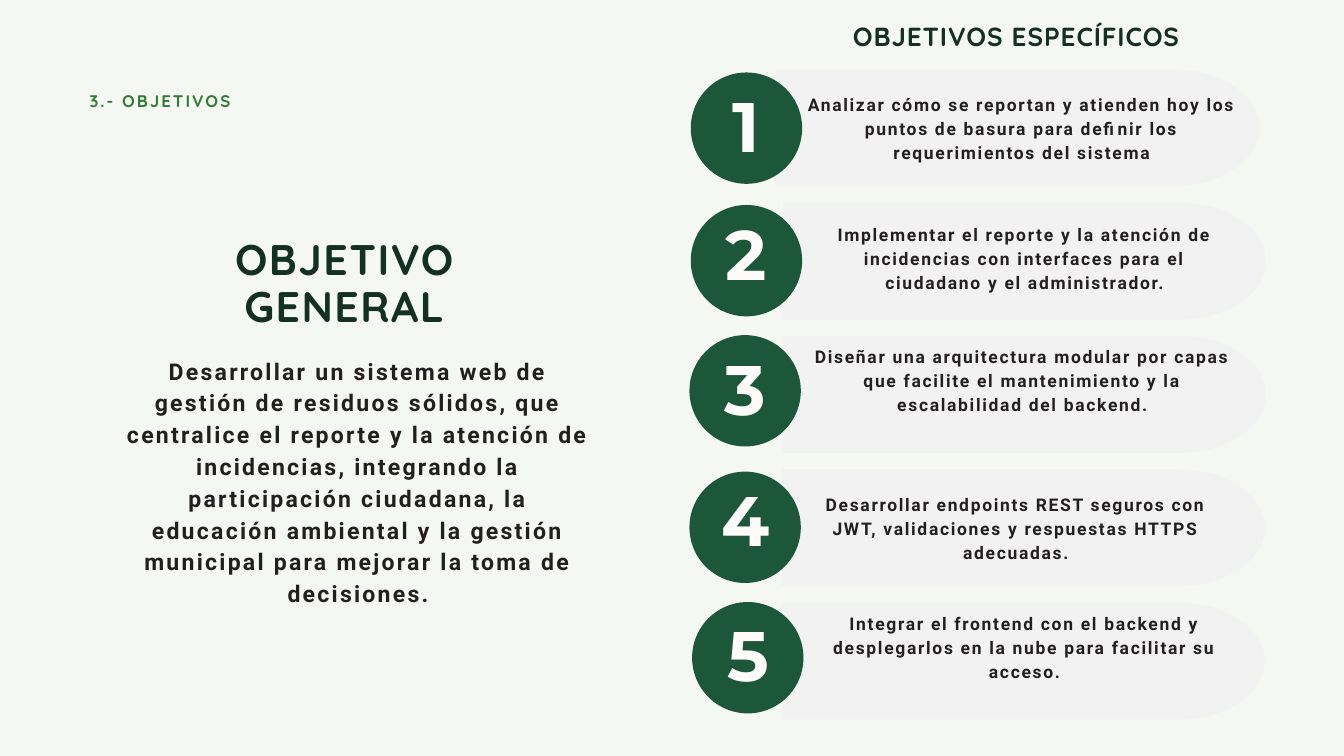
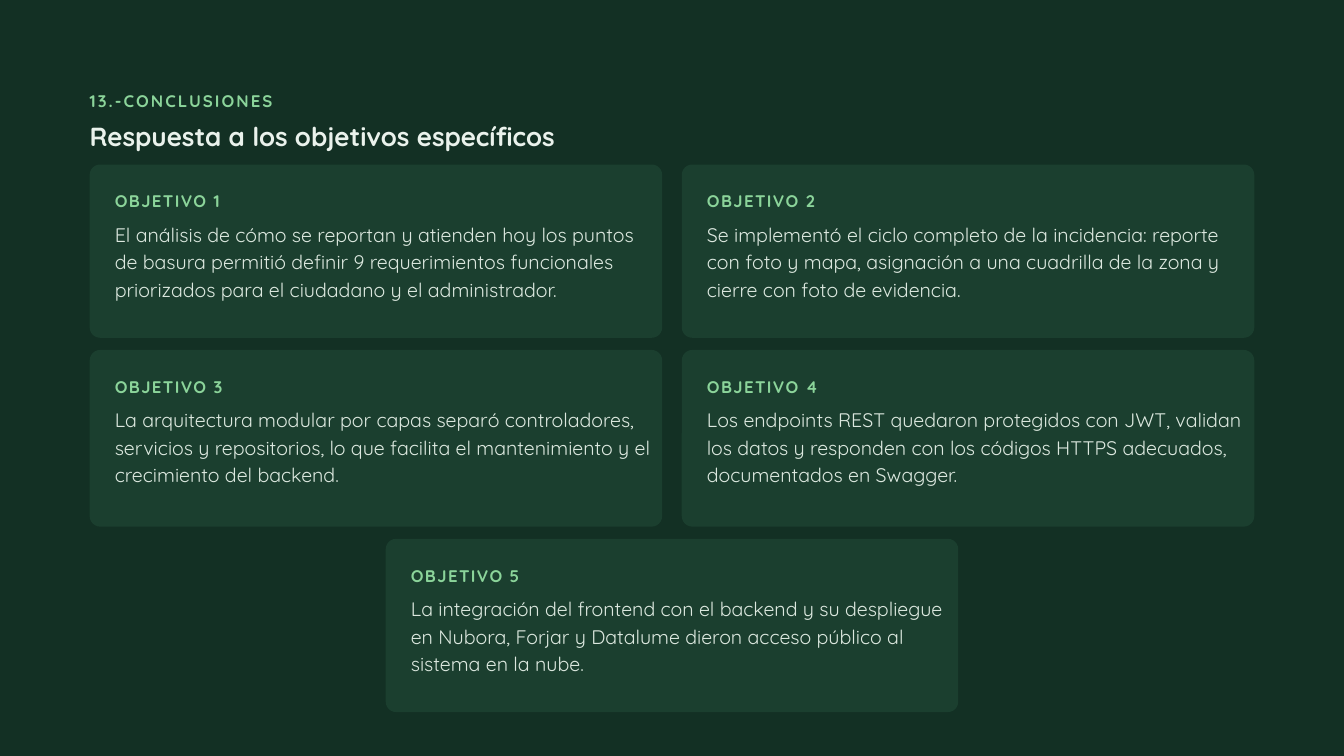
"""Build the objectives slide and the conclusions slide of a waste-management project."""

from dataclasses import dataclass, replace
from math import cos, pi, sin

from pptx import Presentation
from pptx.dml.color import RGBColor
from pptx.enum.shapes import MSO_SHAPE
from pptx.enum.text import MSO_ANCHOR, MSO_AUTO_SIZE, PP_ALIGN
from pptx.presentation import Presentation as Deck
from pptx.shapes.autoshape import Shape
from pptx.slide import Slide
from pptx.text.text import TextFrame
from pptx.util import Cm, Pt

SLIDE_WIDTH = 50.8
SLIDE_HEIGHT = 28.58
TITLE_ONLY = 5


@dataclass(frozen=True)
class TextStyle:
    font: str
    size: float
    line: float
    color: str
    bold: bool = True
    spacing: float = 0
    align: PP_ALIGN = PP_ALIGN.LEFT


@dataclass(frozen=True)
class Theme:
    light: str = "F5F7F2"
    dark: str = "133024"
    pill: str = "F2F2F2"
    badge: str = "1C5739"
    card: str = "1B3F2F"
    section: TextStyle = TextStyle("Quicksand", 18, 25.2, "2E7D32", spacing=2.2)
    section_on_dark: TextStyle = TextStyle("Quicksand", 18, 25.2, "8BD49A", spacing=2.2)
    general_title: TextStyle = TextStyle(
        "Quicksand", 45.8, 50.4, "133024", spacing=1.6, align=PP_ALIGN.CENTER)
    specific_title: TextStyle = TextStyle(
        "Quicksand", 28, 30.8, "133024", spacing=1, align=PP_ALIGN.CENTER)
    answers_title: TextStyle = TextStyle("Quicksand", 28, 30.8, "EAF2EC")
    general: TextStyle = TextStyle(
        "Roboto", 24.7, 34.1, "231F20", spacing=2.4, align=PP_ALIGN.CENTER)
    specific: TextStyle = TextStyle(
        "Roboto", 18.7, 25.8, "231F20", spacing=1.8, align=PP_ALIGN.CENTER)
    number: TextStyle = TextStyle(
        "Montserrat", 75, 74.2, "FFFBFB", spacing=2.6, align=PP_ALIGN.CENTER)
    answer: TextStyle = TextStyle("Quicksand", 21, 29.4, "DCE8DF", bold=False)


THEME = Theme()
CARD_HEADING = replace(THEME.section_on_dark, spacing=1.5)


@dataclass(frozen=True)
class Box:
    left: float
    top: float
    width: float
    height: float

    def lengths(self) -> tuple[Cm, Cm, Cm, Cm]:
        return Cm(self.left), Cm(self.top), Cm(self.width), Cm(self.height)


@dataclass(frozen=True)
class Objective:
    text: str
    pill_left: float
    badge_left: float
    badge_top: float
    number_top: float
    text_left: float
    text_top: float
    text_width: float = 16.03


OBJECTIVES = [
    Objective("Analizar cómo se reportan y atienden hoy los puntos de basura para "
              "definir los requerimientos del sistema",
              29.34, 26.11, 2.74, 3.66, 30.38, 3.45, 16.48),
    Objective("Implementar el reporte y la atención de incidencias con interfaces para "
              "el ciudadano y el administrador.",
              29.59, 26.11, 7.75, 8.53, 30.71, 8.36),
    Objective("Diseñar una arquitectura modular por capas que facilite el mantenimiento "
              "y la escalabilidad del backend.",
              29.59, 26.06, 12.67, 13.61, 30.63, 12.95),
    Objective("Desarrollar endpoints REST seguros con JWT, validaciones y respuestas "
              "HTTPS adecuadas.",
              29.54, 26.06, 17.83, 18.59, 30.38, 18.57),
    Objective("Integrar el frontend con el backend y desplegarlos en la nube para "
              "facilitar su acceso.",
              29.54, 26.16, 22.76, 23.67, 30.71, 23.04),
]

GENERAL_OBJECTIVE = (
    "Desarrollar un sistema web de gestión de residuos sólidos, que centralice el "
    "reporte y la atención de incidencias, integrando la participación ciudadana, la "
    "educación ambiental y la gestión municipal para mejorar la toma de decisiones."
)

ANSWER_ROWS = [
    (6.55, [
        "El análisis de cómo se reportan y atienden hoy los puntos de basura permitió "
        "definir 9 requerimientos funcionales priorizados para el ciudadano y el "
        "administrador.",
        "Se implementó el ciclo completo de la incidencia: reporte con foto y mapa, "
        "asignación a una cuadrilla de la zona y cierre con foto de evidencia.",
    ]),
    (6.68, [
        "La arquitectura modular por capas separó controladores, servicios y "
        "repositorios, lo que facilita el mantenimiento y el crecimiento del backend.",
        "Los endpoints REST quedaron protegidos con JWT, validan los datos y responden "
        "con los códigos HTTPS adecuados, documentados en Swagger.",
    ]),
    (6.55, [
        "La integración del frontend con el backend y su despliegue en Nubora, Forjar "
        "y Datalume dieron acceso público al sistema en la nube.",
    ]),
]


def write(frame: TextFrame, text: str, style: TextStyle) -> None:
    frame.margin_left = frame.margin_right = frame.margin_top = frame.margin_bottom = 0
    frame.word_wrap = True
    frame.auto_size = MSO_AUTO_SIZE.NONE
    frame.vertical_anchor = MSO_ANCHOR.TOP
    frame.text = text
    for paragraph in frame.paragraphs:
        paragraph.alignment = style.align
        paragraph.line_spacing = Pt(style.line)
        font = paragraph.font
        font.name = style.font
        font.size = Pt(style.size)
        font.bold = style.bold
        font.color.rgb = RGBColor.from_string(style.color)
        font._element.set("spc", str(round(style.spacing * 100)))


def add_text(slide: Slide, box: Box, text: str, style: TextStyle) -> None:
    write(slide.shapes.add_textbox(*box.lengths()).text_frame, text, style)


def paint(shape: Shape, color: str) -> None:
    shape.shadow.inherit = False
    shape.fill.solid()
    shape.fill.fore_color.rgb = RGBColor.from_string(color)
    shape.line.fill.background()


def add_slide(deck: Deck, background: str, section: str, section_style: TextStyle,
              title: str, title_box: Box, title_style: TextStyle) -> Slide:
    slide = deck.slides.add_slide(deck.slide_layouts[TITLE_ONLY])
    slide.background.fill.solid()
    slide.background.fill.fore_color.rgb = RGBColor.from_string(background)
    heading = slide.shapes.title
    heading.left, heading.top, heading.width, heading.height = title_box.lengths()
    write(heading.text_frame, title, title_style)
    add_text(slide, Box(3.39, 3.3, 12, 0.84), section, section_style)
    return slide


def add_pill(slide: Slide, box: Box) -> None:
    bend_width, bend_height = 3.25, box.height / 2
    bend_left = box.left + box.width - bend_width
    middle = box.top + bend_height
    steps = 32
    angles = [pi * step / steps - pi / 2 for step in range(steps + 1)]
    bend = [(Cm(bend_left + bend_width * cos(angle)), Cm(middle + bend_height * sin(angle)))
            for angle in angles]
    outline = slide.shapes.build_freeform(Cm(box.left), Cm(box.top))
    outline.add_line_segments([*bend, (Cm(box.left), Cm(box.top + box.height))])
    paint(outline.convert_to_shape(), THEME.pill)


def add_objective(slide: Slide, number: int, objective: Objective) -> None:
    pill_top = 2.62 + 5.04 * (number - 1)
    add_pill(slide, Box(objective.pill_left, pill_top, 18.26, 4.42))
    badge_box = Box(objective.badge_left, objective.badge_top, 4.21, 4.21)
    paint(slide.shapes.add_shape(MSO_SHAPE.OVAL, *badge_box.lengths()), THEME.badge)
    add_text(slide, Box(objective.badge_left + 0.74, objective.number_top, 2.74, 2.74),
             str(number), THEME.number)
    add_text(slide, Box(objective.text_left, objective.text_top, objective.text_width, 2.67),
             objective.text, THEME.specific)


def add_answer(slide: Slide, number: int, box: Box, answer: str) -> None:
    card = slide.shapes.add_shape(MSO_SHAPE.ROUNDED_RECTANGLE, *box.lengths())
    card.adjustments[0] = 0.06
    paint(card, THEME.card)
    text_left = box.left + 0.95
    add_text(slide, Box(text_left, box.top + 0.88, 20.32, 0.84),
             f"OBJETIVO {number}", CARD_HEADING)
    add_text(slide, Box(text_left, box.top + 2.06, 20.32, 3.11), answer, THEME.answer)


def build_objectives(deck: Deck) -> None:
    slide = add_slide(deck, THEME.light, "3.- OBJETIVOS", THEME.section,
                      "OBJETIVO\nGENERAL", Box(8.66, 8.97, 8.71, 3.63), THEME.general_title)
    add_text(slide, Box(31.78, 0.86, 13.26, 1.14), "OBJETIVOS ESPECÍFICOS",
             THEME.specific_title)
    add_text(slide, Box(4.57, 13.34, 17.93, 10.76), GENERAL_OBJECTIVE, THEME.general)
    for number, objective in enumerate(OBJECTIVES, start=1):
        add_objective(slide, number, objective)


def build_conclusions(deck: Deck) -> None:
    slide = add_slide(deck, THEME.dark, "13.-CONCLUSIONES", THEME.section_on_dark,
                      "Respuesta a los objetivos específicos",
                      Box(3.39, 4.65, 18.47, 1.14), THEME.answers_title)
    card_width, column_gap, row_gap = 21.64, 0.74, 0.46
    top, number = 6.22, 1
    for height, answers in ANSWER_ROWS:
        row_width = len(answers) * (card_width + column_gap) - column_gap
        left = (SLIDE_WIDTH - row_width) / 2
        for answer in answers:
            add_answer(slide, number, Box(left, top, card_width, height), answer)
            left += card_width + column_gap
            number += 1
        top += height + row_gap


def main() -> None:
    deck = Presentation()
    deck.slide_width, deck.slide_height = Cm(SLIDE_WIDTH), Cm(SLIDE_HEIGHT)
    build_objectives(deck)
    build_conclusions(deck)
    deck.save("out.pptx")


if __name__ == "__main__":
    main()
